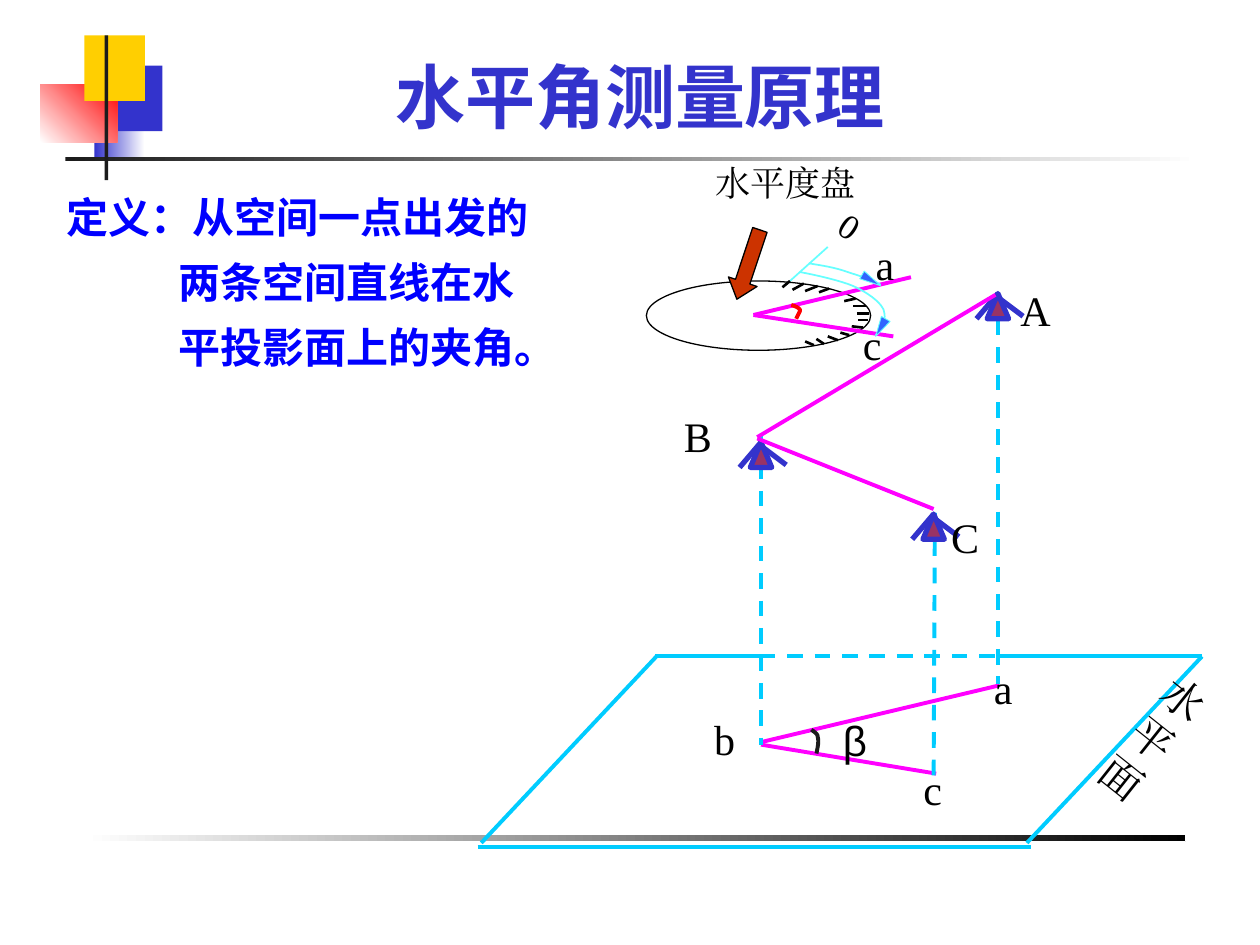
import pptx
import pptx.dml.color
import pptx.enum.dml
import pptx.enum.shapes
import pptx.enum.text
import pptx.oxml.ns
import pptx.util
from dataclasses import dataclass
from lxml import etree

Kind = pptx.enum.shapes.MSO_SHAPE
Pt = pptx.util.Pt
SANS, ROMAN = "Noto Sans CJK SC", "Times New Roman"
BLUE, CYAN, PINK, AQUA = "3333CC", "00CCFF", "FF00FF", "66FFFF"


@dataclass
class Block:
    box: tuple
    fill: str
    fade: str = ""
    angle: float = 0
    edge: str = ""


@dataclass
class Label:
    text: str
    box: tuple
    size: float = 24
    font: str = ROMAN
    turn: float = 0
    wrap: bool = False


@dataclass
class Curve:
    """Chained cubic curves: a start point, then three points for each piece."""
    points: list
    color: str
    width: float


def inch(value: float) -> int:
    return pptx.util.Cm(value * 2.54)


def rgb(code: str):
    return pptx.dml.color.RGBColor.from_string(code)


def style(para, size: float, font: str, color: str, bold: bool = False) -> None:
    para.font.size, para.font.name, para.font.bold = Pt(size), font, bold
    para.font.color.rgb = rgb(color)
    props = para._p.pPr.find(pptx.oxml.ns.qn("a:defRPr"))
    latin = props.find(pptx.oxml.ns.qn("a:latin"))
    east = etree.Element(pptx.oxml.ns.qn("a:ea"), typeface=font)
    latin.addnext(east)


def stroke(line, color: str, width: float) -> None:
    line.color.rgb = rgb(color)
    line.width = Pt(width)


def shape(slide, kind, box: tuple, fill: str, edge: str = "", width: float = 1, turn: float = 0):
    item = slide.shapes.add_shape(kind, *map(inch, box))
    item.shadow.inherit = False
    item.rotation = turn
    item.fill.solid()
    item.fill.fore_color.rgb = rgb(fill)
    if edge:
        stroke(item.line, edge, width)
    else:
        item.line.fill.background()
    return item


def block(slide, part: Block) -> None:
    item = shape(slide, Kind.RECTANGLE, part.box, part.fill, part.edge)
    if part.fade:
        item.fill.gradient()
        item.fill.gradient_angle = part.angle
        for stop, color in zip(item.fill.gradient_stops, (part.fill, part.fade)):
            stop.color.rgb = rgb(color)


def line(slide, ends: tuple, color: str, width: float = 2.25, dash: bool = False) -> None:
    item = slide.shapes.add_connector(pptx.enum.shapes.MSO_CONNECTOR.STRAIGHT, *map(inch, ends))
    stroke(item.line, color, width)
    if dash:
        item.line.dash_style = pptx.enum.dml.MSO_LINE.DASH
    etree.SubElement(item._element.spPr, pptx.oxml.ns.qn("a:effectLst"))


def curve(slide, arc: Curve, steps: int = 8) -> None:
    dots = []
    for i in range(0, len(arc.points) - 1, 3):
        piece = arc.points[i:i + 4]
        for t in (n / steps for n in range(1, steps + 1)):
            parts = ((1 - t) ** 3, 3 * t * (1 - t) ** 2, 3 * t * t * (1 - t), t ** 3)
            dots.append(tuple(inch(sum(w * p[k] for w, p in zip(parts, piece))) for k in (0, 1)))
    path = slide.shapes.build_freeform(*map(inch, arc.points[0]))
    path.add_line_segments(dots, close=False)
    item = path.convert_to_shape()
    item.shadow.inherit = False
    item.fill.background()
    stroke(item.line, arc.color, arc.width)


def label(slide, note: Label) -> None:
    item = slide.shapes.add_textbox(*map(inch, note.box))
    item.rotation = note.turn
    item.text_frame.word_wrap = note.wrap
    para = item.text_frame.paragraphs[0]
    para.text = note.text
    style(para, note.size, note.font, "000000")


def station(slide, x: float, y: float) -> None:
    """Draw a survey mark with its tip at x, y."""
    shape(slide, Kind.ISOSCELES_TRIANGLE, (x - 0.085, y, 0.17, 0.2), "993366", BLUE, 3)
    line(slide, (x, y, x - 0.17, y + 0.2), BLUE, 3)
    line(slide, (x, y + 0.03, x + 0.2, y + 0.18), BLUE, 3)


def heading(slide) -> None:
    title = slide.shapes.title
    title.left, title.top, title.width, title.height = map(inch, (1.22, 0.36, 7.72, 0.78))
    frame = title.text_frame
    frame.auto_size = pptx.enum.text.MSO_AUTO_SIZE.NONE
    frame.vertical_anchor = pptx.enum.text.MSO_ANCHOR.BOTTOM
    para = frame.paragraphs[0]
    para.text = "水平角测量原理"
    para.alignment = pptx.enum.text.PP_ALIGN.CENTER
    style(para, 40, SANS, BLUE, True)


def meaning(slide) -> None:
    frame = slide.shapes.add_textbox(*map(inch, (0.43, 1.35, 4.08, 5.24))).text_frame
    frame.word_wrap = True
    para = frame.paragraphs[0]
    para.text = "定义：从空间一点出发的两条空间直线在水平投影面上的夹角。"
    para.line_spacing = Pt(37.3)
    props = para._p.get_or_add_pPr()
    props.set("marL", str(inch(0.89)))
    props.set("indent", str(inch(-0.89)))
    style(para, 24, SANS, "0000FF", True)


BLOCKS = [
    Block((0.75, 0.76, 0.4, 0.52), BLUE, "FFFFFF"),
    Block((0.83, 0.52, 0.46, 0.52), BLUE),
    Block((0.32, 0.67, 0.61, 0.46), "FFFFFF", "FF0000", 45),
    Block((0.52, 1.25, 9, 0.03), "1C1C1C", "FFFFFF"),
    Block((0.67, 6.62, 8.74, 0.06), "FFFFFF", "000000", 0, "FFFFFF"),
    Block((0.67, 0.28, 0.48, 0.52), "FFCF01"),
    Block((0.83, 0.28, 0.03, 1.15), "1C1C1C"),
]
ANGLE = [(6.04, 5.91, 7.43, 6.14), (6.04, 5.89, 7.93, 5.44)]
PLANE = [(3.79, 6.72, 8.18, 6.72), (8.15, 6.69, 9.54, 5.21), (3.82, 6.69, 5.21, 5.21),
         (5.2, 5.21, 6.03, 5.21), (7.92, 5.21, 9.54, 5.21)]
HIDDEN = [(6.03, 5.21, 7.92, 5.21), (7.42, 4.07, 7.41, 6.16),
          (6.04, 3.46, 6.04, 5.91), (7.92, 2.32, 7.92, 5.43)]
STATIONS = [(6.04, 3.51), (7.92, 2.33), (7.41, 4.08)]
SIGHTS = [(6.01, 3.47, 7.9, 2.34), (6.01, 3.48, 7.41, 4.04)]
RAYS = [(5.98, 2.5, 7.23, 2.2), (5.98, 2.5, 7.09, 2.67)]
TICKS = [(6.27, 2.23, 6.21, 2.28), (6.38, 2.25, 6.29, 2.3), (6.49, 2.27, 6.39, 2.31),
         (6.58, 2.29, 6.5, 2.32), (6.79, 2.37, 6.7, 2.39), (6.87, 2.43, 6.77, 2.43),
         (6.8, 2.49, 6.9, 2.49), (6.81, 2.54, 6.89, 2.54), (6.76, 2.59, 6.85, 2.6),
         (6.67, 2.64, 6.74, 2.66), (6.57, 2.67, 6.65, 2.7), (6.48, 2.69, 6.54, 2.73),
         (6.39, 2.71, 6.46, 2.74)]
CURVES = [
    Curve([(6.44, 5.79), (6.46, 5.81), (6.49, 5.82), (6.49, 5.85),
           (6.5, 5.88), (6.49, 5.93), (6.48, 5.98)], "1C1C1C", 2.25),
    Curve([(6.28, 2.42), (6.31, 2.43), (6.34, 2.44), (6.35, 2.46),
           (6.35, 2.48), (6.33, 2.5), (6.32, 2.53)], "FF0000", 2.25),
    Curve([(6.35, 2.16), (6.46, 2.18), (6.68, 2.23), (6.77, 2.27),
           (6.84, 2.3), (7.02, 2.4), (7.02, 2.49), (7.03, 2.55), (6.99, 2.62), (6.95, 2.66)], AQUA, 1),
    Curve([(6.42, 2.09), (6.53, 2.11), (6.62, 2.12), (6.73, 2.16),
           (6.82, 2.19), (6.93, 2.22), (6.99, 2.26)], AQUA, 1),
]
HEADS = [((6.95, 2.52, 0.08, 0.16), 209.9), ((6.88, 2.14, 0.07, 0.17), 120.2)]
LABELS = [
    Label("水平面", (8.88, 5.23, 0.6, 1.3), turn=38.5, wrap=True),
    Label("a", (7.79, 5.21, 0.35, 0.5)),
    Label("b", (5.57, 5.61, 0.36, 0.5)),
    Label("c", (7.23, 6.01, 0.35, 0.5)),
    Label("β", (6.59, 5.62, 0.38, 0.5), font="Arial"),
    Label("A", (8, 2.21, 0.44, 0.5)),
    Label("B", (5.33, 3.21, 0.42, 0.5)),
    Label("C", (7.45, 4.01, 0.42, 0.5)),
    Label("0", (6.58, 1.57, 0.31, 0.44), 20, turn=34, wrap=True),
    Label("c", (6.75, 2.48, 0.35, 0.5)),
    Label("a", (6.85, 1.84, 0.35, 0.5)),
    Label("水平度盘", (5.58, 1.23, 1.31, 0.44), 20),
]


def main() -> None:
    deck = pptx.Presentation()
    deck.slide_width, deck.slide_height = inch(10), inch(7.5)
    slide = deck.slides.add_slide(deck.slide_layouts[5])
    for part in BLOCKS:
        block(slide, part)
    heading(slide)
    meaning(slide)
    shape(slide, Kind.OVAL, (5.13, 2.23, 1.78, 0.55), "FFFFFF", "000000", 0.75)
    for group, color, dash in ((ANGLE, PINK, False), (PLANE, CYAN, False), (HIDDEN, CYAN, True)):
        for ends in group:
            line(slide, ends, color, dash=dash)
    for spot in STATIONS:
        station(slide, *spot)
    for ends in SIGHTS + RAYS:
        line(slide, ends, PINK)
    line(slide, (6.27, 2.23, 6.57, 1.96), AQUA, 1)
    for ends in TICKS:
        line(slide, ends, "000000", 1.5)
    for arc in CURVES:
        curve(slide, arc)
    for box, turn in HEADS:
        shape(slide, Kind.ISOSCELES_TRIANGLE, box, "3366FF", AQUA, 0.5, turn)
    for note in LABELS:
        label(slide, note)
    arrow = shape(slide, Kind.DOWN_ARROW, (5.82, 1.81, 0.24, 0.58), "CC3300", "000000", 0.75, 18.4)
    arrow.adjustments[1] = 0.61
    deck.save("out.pptx")


if __name__ == "__main__":
    main()
